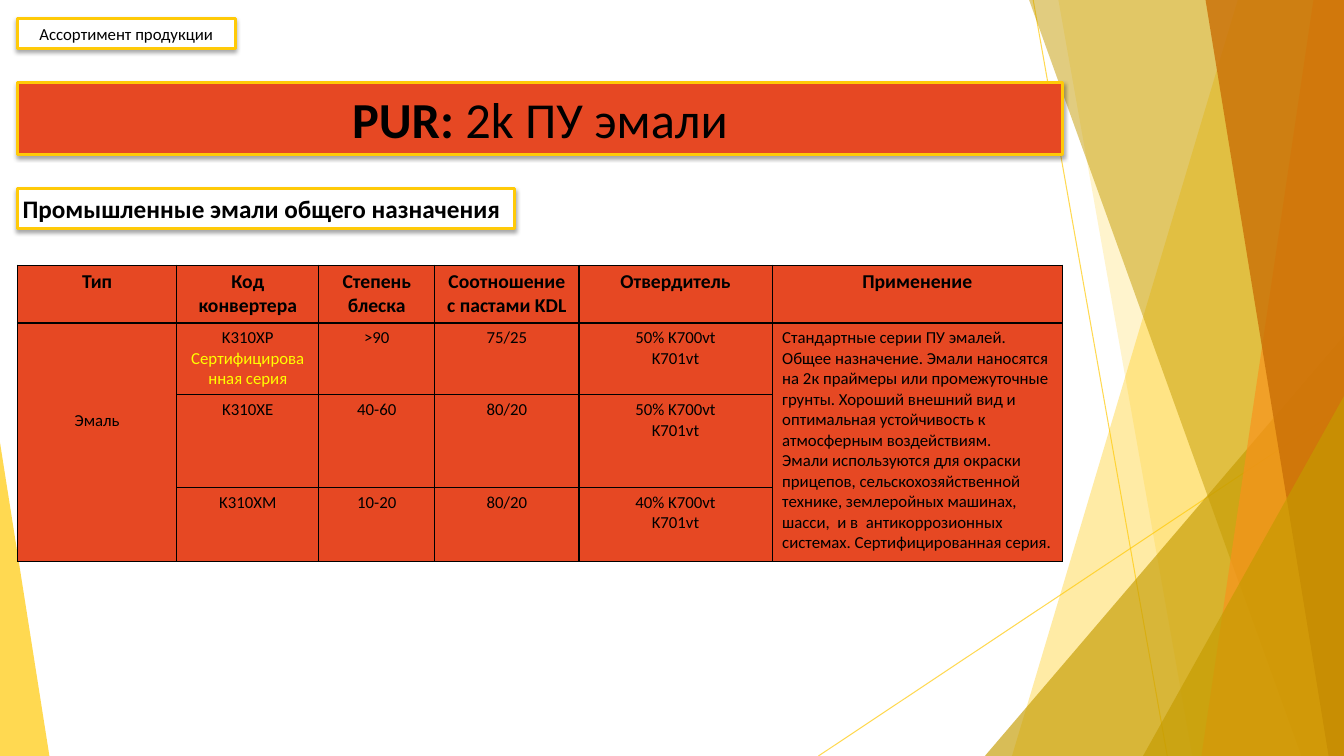
import pptx
import pptx.util
import pptx.dml.color
import pptx.enum.shapes
import pptx.enum.text
import pptx.oxml
import pptx.oxml.ns
import lxml.etree

Pt = pptx.util.Pt
RGB = pptx.dml.color.RGBColor
Kind = pptx.enum.shapes.MSO_SHAPE
Align = pptx.enum.text.PP_ALIGN
qn = pptx.oxml.ns.qn

BLACK = RGB(0, 0, 0)
WHITE = RGB(0xFF, 0xFF, 0xFF)
RED = RGB(0xE6, 0x48, 0x23)
GOLD = RGB(0xFF, 0xCA, 0x08)
OLIVE = RGB(0xC5, 0x9B, 0x00)
AMBER = RGB(0xF8, 0x93, 0x1D)
BROWN = RGB(0xCA, 0x6F, 0x06)
YELLOW = RGB(0xFF, 0xFF, 0x00)
FONT = "Calibri"
WIDE, HIGH = 960, 540
LEFT = 12.5

# Rays: x1, y1, x2, y2
RAYS = [(738, 0, 833.8, HIGH), (WIDE, 290.2, 584.6, HIGH)]
# Bands reach from a slanted edge (top x, bottom x) to the right side;
# wedges are triangles (left, top, width, height, apex).
DECOR = [
    ("band", (884.2, 722.9), GOLD, 36),
    ("band", (756, 851.8), GOLD, 20),
    ("wedge", (703.5, 239.8, 256.5, 300.2, 1), OLIVE, 66),
    ("band", (735.1, 929.5), OLIVE, 50),
    ("band", (938.2, 858.2), AMBER, 70),
    ("band", (861.1, 949), BROWN, 80),
    ("wedge", (816.5, 283, 143.5, 257, 1), OLIVE, 66),
    ("wedge", (0, 316.1, 35.3, 223.9, 0), GOLD, 70),
]

TITLE = [("PUR: ", True), ("2k ПУ эмали", False)]
GROUP = [("Промышленные эмали общего назначения", True)]
RANGE = [("Ассортимент продукции", False)]

HEAD = ["Тип", "Код конвертера", "Степень блеска",
        "Соотношение с пастами KDL", "Отвердитель", "Применение"]
KIND = "Эмаль"
CERT = "Сертифицированная серия"
GRADES = [
    (["K310XP", CERT], [">90"], ["75/25"], ["50% K700vt", "K701vt"]),
    (["K310XE"], ["40-60"], ["80/20"], ["50% K700vt", "K701vt"]),
    (["K310XM"], ["10-20"], ["80/20"], ["40% K700vt", "K701vt"]),
]
USAGE = [
    "Стандартные серии ПУ эмалей.  Общее назначение. Эмали наносятся на 2к "
    "праймеры или промежуточные грунты. Хороший внешний вид и оптимальная "
    "устойчивость к атмосферным воздействиям.",
    "Эмали используются для окраски прицепов, сельскохозяйственной технике, "
    "землеройных машинах, шасси,  и в  антикоррозионных системах. "
    "Сертифицированная серия.",
]
COLS = [113.8, 101.5, 82.8, 103, 138, 207.4]
ROWS = [40.3, 47.5, 66.2, 53.3]


def fade(shape, share):
    """Set the opacity, in percent, of the colour a shape has."""
    for tint in shape.element.spPr.iter(qn("a:srgbClr")):
        lxml.etree.SubElement(tint, qn("a:alpha"), val=str(share * 1000))


def write(par, runs, size, align, color=BLACK):
    par.alignment = align
    for text, bold in runs:
        run = par.add_run()
        run.text = text
        run.font.name = FONT
        run.font.size = Pt(size)
        run.font.bold = bold
        run.font.color.rgb = color


def draw_decor(shapes):
    for x1, y1, x2, y2 in RAYS:
        ray = shapes.add_connector(pptx.enum.shapes.MSO_CONNECTOR.STRAIGHT,
                                   Pt(x1), Pt(y1), Pt(x2), Pt(y2))
        ray.line.color.rgb = GOLD
        ray.line.width = Pt(0.75)
        fade(ray, 70)
        lxml.etree.SubElement(ray.element.spPr, qn("a:effectLst"))
    for kind, place, color, share in DECOR:
        if kind == "band":
            top, low = place
            form = shapes.build_freeform(Pt(top), 0)
            form.add_line_segments([(Pt(WIDE), 0), (Pt(WIDE), Pt(HIGH)),
                                    (Pt(low), Pt(HIGH))], close=True)
            part = form.convert_to_shape()
        else:
            part = shapes.add_shape(Kind.ISOSCELES_TRIANGLE,
                                    *[Pt(v) for v in place[:4]])
            part.adjustments[0] = place[4]
        part.shadow.inherit = False
        part.fill.solid()
        part.fill.fore_color.rgb = color
        part.line.fill.background()
        fade(part, share)


def frame(box, top, width, height, fill, runs, size, align):
    """Place a gold-edged box with a soft shadow and write in it."""
    box.left, box.top = Pt(LEFT), Pt(top)
    box.width, box.height = Pt(width), Pt(height)
    box.fill.solid()
    box.fill.fore_color.rgb = fill
    box.line.color.rgb = GOLD
    box.line.width = Pt(2)
    box.element.spPr.append(pptx.oxml.parse_xml(
        '<a:effectLst xmlns:a="http://schemas.openxmlformats.org/drawingml/2006/main">'
        f'<a:outerShdw blurRad="{Pt(3)}" dist="{Pt(1.8)}" dir="5400000" rotWithShape="0">'
        '<a:srgbClr val="000000"><a:alpha val="35000"/></a:srgbClr>'
        '</a:outerShdw></a:effectLst>'))
    text = box.text_frame
    text.word_wrap = True
    text.auto_size = pptx.enum.text.MSO_AUTO_SIZE.NONE
    text.vertical_anchor = pptx.enum.text.MSO_ANCHOR.MIDDLE
    text.margin_left = text.margin_right = Pt(3.6)
    text.margin_top = text.margin_bottom = Pt(3.6)
    write(text.paragraphs[0], runs, size, align)


def fill_cell(cell, lines, size=12, bold=False, align=Align.CENTER):
    text = cell.text_frame
    for i, line in enumerate(lines):
        par = text.add_paragraph() if i else text.paragraphs[0]
        write(par, [(line, bold)], size, align,
              YELLOW if line == CERT else BLACK)


def style_cell(cell):
    props = cell._tc.get_or_add_tcPr()
    for side in ("a:lnL", "a:lnR", "a:lnT", "a:lnB"):
        edge = lxml.etree.SubElement(props, qn(side), w=str(Pt(1)))
        ink = lxml.etree.SubElement(edge, qn("a:solidFill"))
        lxml.etree.SubElement(ink, qn("a:srgbClr"), val=str(BLACK))
    cell.fill.solid()
    cell.fill.fore_color.rgb = RED


def draw_table(shapes):
    table = shapes.add_table(len(ROWS), len(COLS), Pt(LEFT), Pt(189.4),
                             Pt(sum(COLS)), Pt(sum(ROWS))).table
    table.first_row = table.horz_banding = False
    for col, width in zip(table.columns, COLS):
        col.width = Pt(width)
    for row, height in zip(table.rows, ROWS):
        row.height = Pt(height)
    for cell in table.iter_cells():
        style_cell(cell)
    last = len(ROWS) - 1
    for c in (0, len(COLS) - 1):
        table.cell(1, c).merge(table.cell(last, c))
    for c, name in enumerate(HEAD):
        fill_cell(table.cell(0, c), [name], 14, True)
    for r, grade in enumerate(GRADES, 1):
        for c, lines in enumerate(grade, 1):
            fill_cell(table.cell(r, c), lines)
    fill_cell(table.cell(1, 0), [KIND])
    table.cell(1, 0).margin_top = Pt(62.2)
    fill_cell(table.cell(1, len(COLS) - 1), USAGE, align=Align.LEFT)


def main():
    deck = pptx.Presentation()
    deck.slide_width, deck.slide_height = Pt(WIDE), Pt(HIGH)
    slide = deck.slides.add_slide(deck.slide_layouts.get_by_name("Title Only"))
    shapes = slide.shapes
    draw_decor(shapes)
    title = shapes.title
    title.element.getparent().append(title.element)
    frame(title, 59, 746.5, 51.1, RED, TITLE, 36, Align.CENTER)
    group, label = [shapes.add_shape(Kind.RECTANGLE, 0, 0, 0, 0)
                    for _ in range(2)]
    frame(group, 134.6, 355, 28.8, WHITE, GROUP, 18, Align.LEFT)
    frame(label, 13, 155.5, 21.6, WHITE, RANGE, 12, Align.CENTER)
    draw_table(shapes)
    deck.save("out.pptx")


if __name__ == "__main__":
    main()
